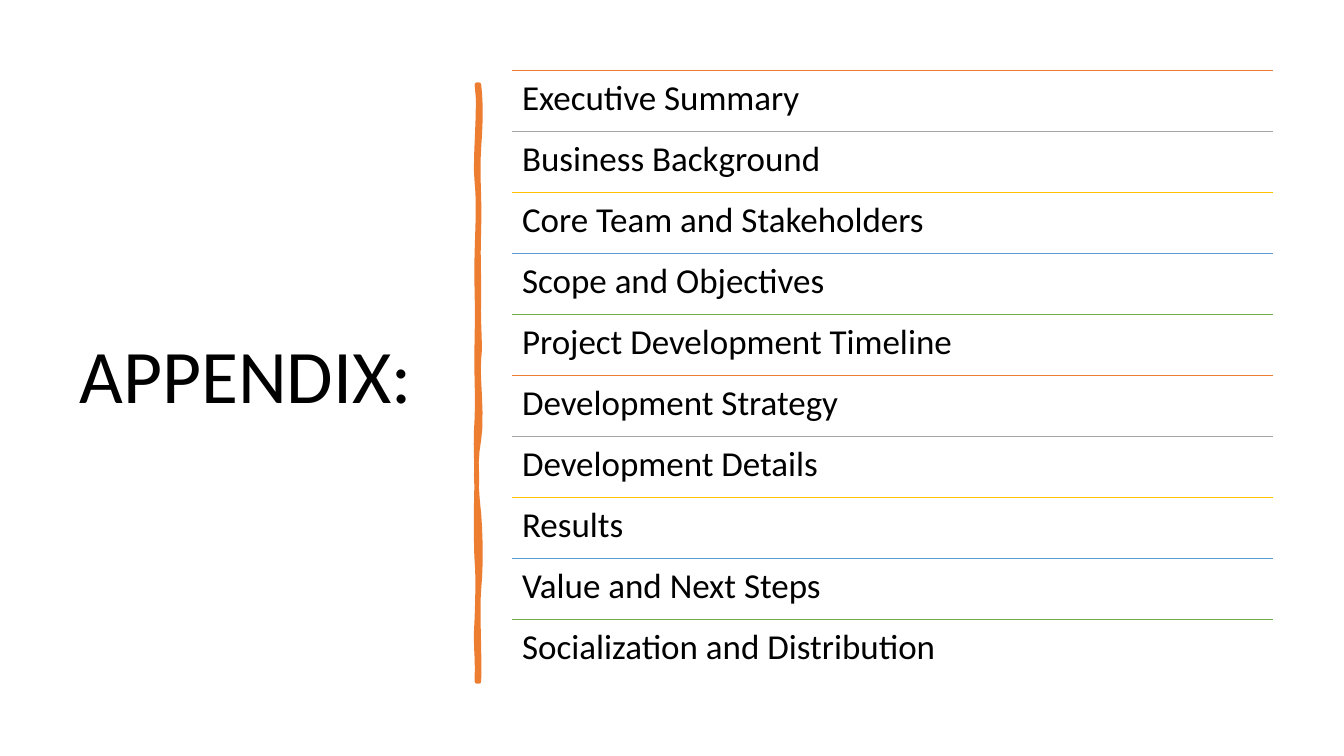
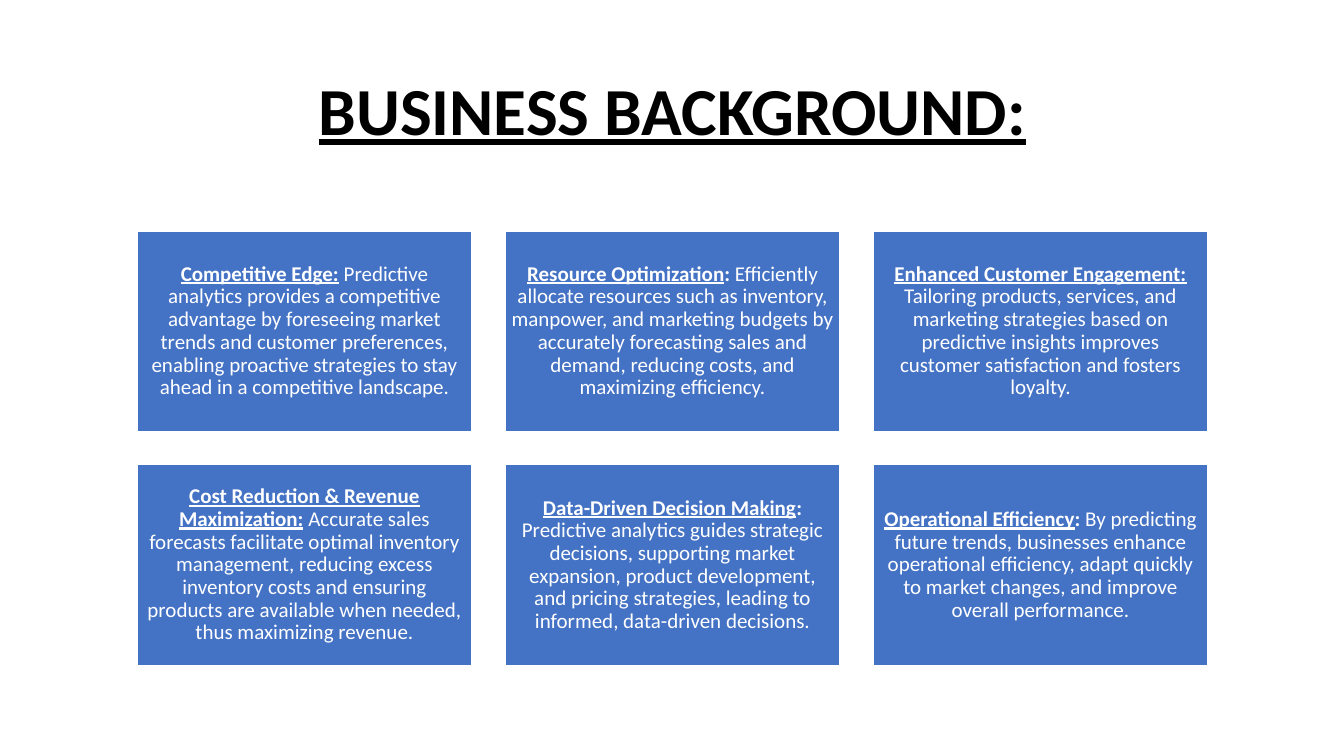
from dataclasses import dataclass
from itertools import cycle

from lxml import etree
from pptx import Presentation
from pptx.dml.color import RGBColor
from pptx.enum.shapes import MSO_CONNECTOR, MSO_SHAPE
from pptx.enum.text import MSO_ANCHOR, PP_ALIGN
from pptx.oxml.ns import qn
from pptx.util import Inches, Pt

LEFT, CENTER = PP_ALIGN.LEFT, PP_ALIGN.CENTER
TOP, MIDDLE = MSO_ANCHOR.TOP, MSO_ANCHOR.MIDDLE
STRAIGHT, RECTANGLE = MSO_CONNECTOR.STRAIGHT, MSO_SHAPE.RECTANGLE


@dataclass(frozen=True)
class Theme:
    font: str = "Calibri"
    ink: RGBColor = RGBColor.from_string("000000")
    paper: RGBColor = RGBColor.from_string("FFFFFF")
    card: RGBColor = RGBColor.from_string("4472C4")
    accent: RGBColor = RGBColor.from_string("ED7D31")
    rules: tuple = ("ED7D31", "A5A5A5", "FFC000", "5B9BD5", "70AD47")
    appendix_size: int = 54
    heading_size: int = 48
    topic_size: int = 25
    card_size: int = 15
    line_spacing: float = 0.9


theme = Theme()


def write(frame, *runs, size, color=theme.ink, align=LEFT, anchor=MIDDLE, inset=(0.1, 0.05)):
    frame.word_wrap = True
    frame.vertical_anchor = anchor
    frame.margin_left = frame.margin_right = Inches(inset[0])
    frame.margin_top = frame.margin_bottom = Inches(inset[1])
    paragraph = frame.paragraphs[0]
    paragraph.alignment = align
    paragraph.line_spacing = theme.line_spacing
    for words, bold, underline in runs:
        run = paragraph.add_run()
        run.text = words
        run.font.name = theme.font
        run.font.size = Pt(size)
        run.font.color.rgb = color
        run.font.bold = bold
        run.font.underline = underline


deck = Presentation()
deck.slide_width, deck.slide_height = Inches(13.33), Inches(7.5)
blank = deck.slide_layouts[6]

appendix = deck.slides.add_slide(blank).shapes
title = appendix.add_textbox(Inches(0.69), Inches(0.7), Inches(3.74), Inches(6.11))
write(title.text_frame, ("APPENDIX:", False, False), size=theme.appendix_size)

brush_curves = [
    [(4.75, 0.84), (4.77, 1.02), (4.77, 1.19), (4.75, 1.46)],
    [(4.75, 1.46), (4.73, 1.73), (4.76, 1.95), (4.75, 2.26)],
    [(4.75, 2.26), (4.74, 2.57), (4.75, 2.62), (4.75, 2.94)],
    [(4.75, 2.94), (4.74, 3.25), (4.77, 3.42), (4.75, 3.56)],
    [(4.75, 3.56), (4.73, 3.7), (4.79, 4.14), (4.75, 4.36)],
    [(4.75, 4.36), (4.71, 4.57), (4.72, 4.84), (4.75, 5.1)],
    [(4.75, 5.1), (4.77, 5.36), (4.77, 5.64), (4.75, 5.84)],
    [(4.75, 5.84), (4.73, 6.03), (4.76, 6.5), (4.75, 6.76)],
    [(4.75, 6.76), (4.74, 6.76), (4.73, 6.76), (4.73, 6.76)],
    [(4.73, 6.76), (4.74, 6.46), (4.71, 6.44), (4.73, 6.13)],
    [(4.73, 6.13), (4.74, 5.83), (4.74, 5.7), (4.73, 5.57)],
    [(4.73, 5.57), (4.72, 5.44), (4.72, 4.95), (4.73, 4.77)],
    [(4.73, 4.77), (4.73, 4.59), (4.71, 4.45), (4.73, 4.15)],
    [(4.73, 4.15), (4.74, 3.86), (4.72, 3.73), (4.73, 3.35)],
    [(4.73, 3.35), (4.74, 2.98), (4.72, 2.81), (4.73, 2.5)],
    [(4.73, 2.5), (4.74, 2.18), (4.75, 2), (4.73, 1.81)],
    [(4.73, 1.81), (4.7, 1.63), (4.77, 1.04), (4.73, 0.84)],
]
steps = 6
brush_points = []
for curve in brush_curves:
    for step in range(1, steps + 1):
        t = step / steps
        weights = ((1 - t) ** 3, 3 * t * (1 - t) ** 2, 3 * t**2 * (1 - t), t**3)
        brush_points.append(
            tuple(Inches(sum(w * point[axis] for w, point in zip(weights, curve))) for axis in (0, 1))
        )
outline = appendix.build_freeform(Inches(4.75), Inches(0.84), scale=1.0)
outline.add_line_segments(brush_points, close=True)
brush = outline.convert_to_shape()
brush.shadow.inherit = False
brush.fill.solid()
brush.fill.fore_color.rgb = theme.accent
brush.line.color.rgb = theme.accent
brush.line.width = Pt(3.25)
etree.SubElement(brush._element.spPr.find(qn("a:ln")), qn("a:round"))

topics = [
    "Executive Summary",
    "Business Background",
    "Core Team and Stakeholders",
    "Scope and Objectives",
    "Project Development Timeline",
    "Development Strategy",
    "Development Details",
    "Results",
    "Value and Next Steps",
    "Socialization and Distribution",
]
topic_left, topic_width = Inches(5.08), Inches(7.55)
agenda_top, agenda_height = Inches(0.7), Inches(6.05)
topic_height = agenda_height // len(topics)
for row, (topic, rule_color) in enumerate(zip(topics, cycle(theme.rules))):
    topic_top = agenda_top + row * topic_height
    rule = appendix.add_connector(STRAIGHT, topic_left, topic_top, topic_left + topic_width, topic_top)
    rule.line.color.rgb = RGBColor.from_string(rule_color)
    rule.line.width = Pt(1)
    etree.SubElement(rule._element.spPr, qn("a:effectLst"))
    entry = appendix.add_textbox(topic_left, topic_top, topic_width, topic_height)
    write(entry.text_frame, (topic, False, False), size=theme.topic_size, anchor=TOP, inset=(0.1, 0.1))

background = deck.slides.add_slide(blank).shapes
heading = background.add_textbox(Inches(0.92), Inches(0.4), Inches(11.5), Inches(1.45))
write(heading.text_frame, ("BUSINESS BACKGROUND:", True, True), size=theme.heading_size, align=CENTER)

benefits = [
    ("Competitive Edge:", "",
     " Predictive analytics provides a competitive advantage by foreseeing market trends and customer "
     "preferences, enabling proactive strategies to stay ahead in a competitive landscape."),
    ("Resource Optimization", ":",
     " Efficiently allocate resources such as inventory, manpower, and marketing budgets by accurately "
     "forecasting sales and demand, reducing costs, and maximizing efficiency."),
    ("Enhanced Customer Engagement:", "",
     " Tailoring products, services, and marketing strategies based on predictive insights improves "
     "customer satisfaction and fosters loyalty."),
    ("Cost Reduction & Revenue Maximization:", "",
     " Accurate sales forecasts facilitate optimal inventory management, reducing excess inventory costs "
     "and ensuring products are available when needed, thus maximizing revenue."),
    ("Data-Driven Decision Making", ":",
     " Predictive analytics guides strategic decisions, supporting market expansion, product development, "
     "and pricing strategies, leading to informed, data-driven decisions."),
    ("Operational Efficiency", ":",
     " By predicting future trends, businesses enhance operational efficiency, adapt quickly to market "
     "changes, and improve overall performance."),
]
columns = 3
grid_left, grid_top = 1.36, 2.29
card_width, card_height, gap = 3.32, 1.99, 0.33
for index, (benefit, colon, detail) in enumerate(benefits):
    row, column = divmod(index, columns)
    card = background.add_shape(
        RECTANGLE,
        Inches(grid_left + column * (card_width + gap)),
        Inches(grid_top + row * (card_height + gap)),
        Inches(card_width),
        Inches(card_height),
    )
    card.shadow.inherit = False
    card.fill.solid()
    card.fill.fore_color.rgb = theme.card
    card.line.color.rgb = theme.paper
    card.line.width = Pt(1)
    runs = [(benefit, True, True), (colon, True, False), (detail, False, False)]
    write(card.text_frame, *[run for run in runs if run[0]], size=theme.card_size,
          color=theme.paper, align=CENTER, inset=(0.06, 0.06))

deck.save("out.pptx")
